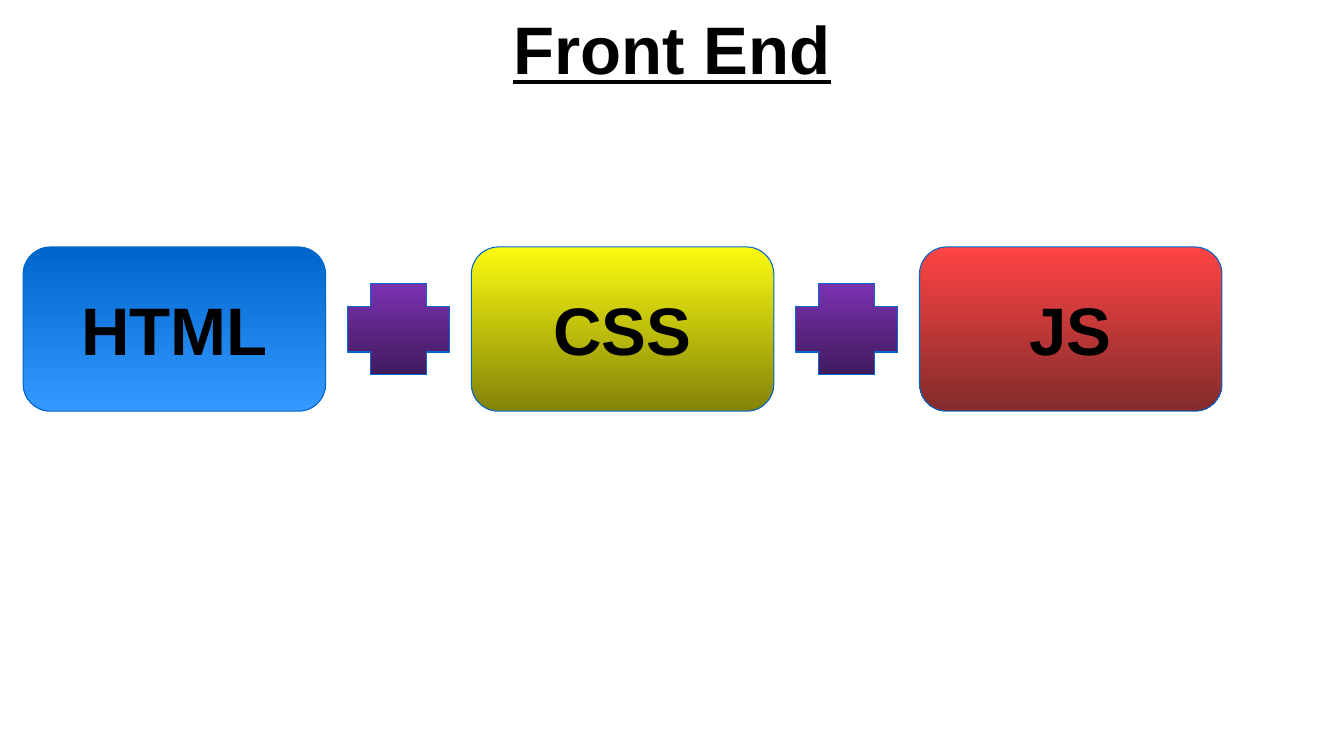
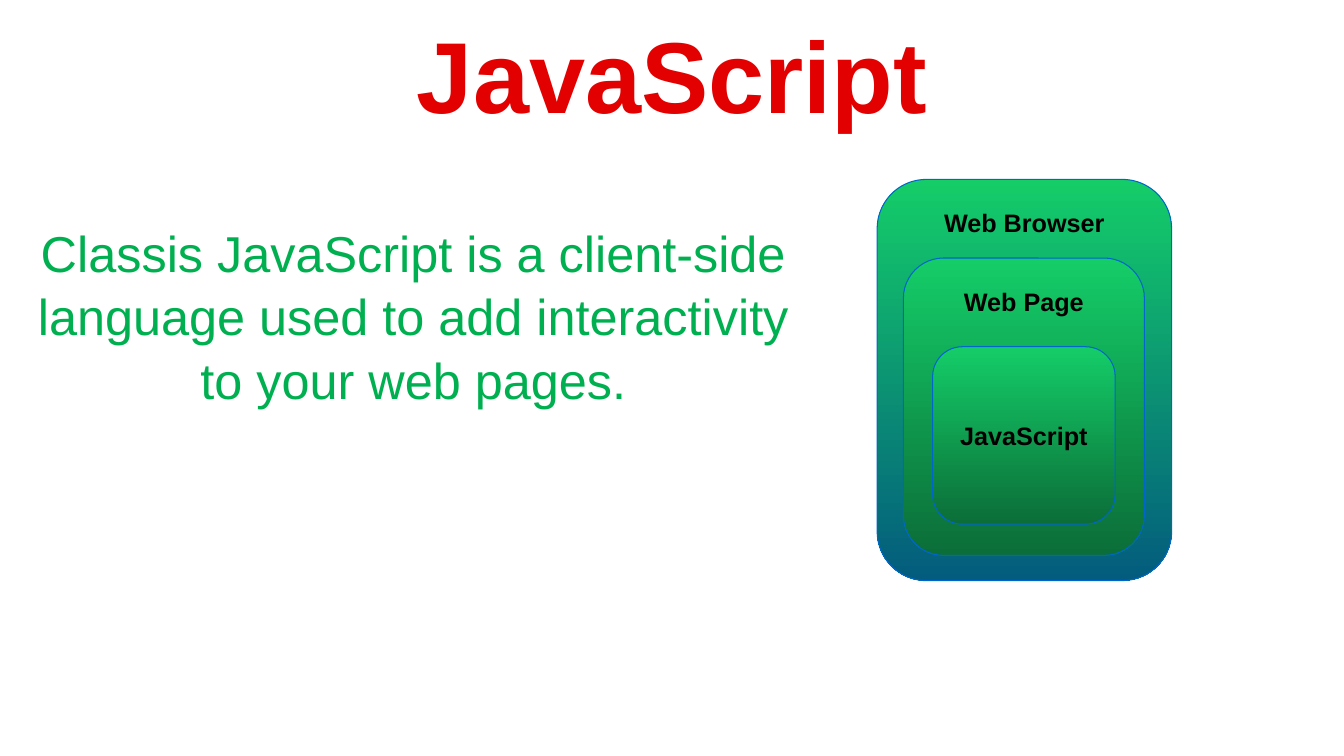
from dataclasses import dataclass

from pptx import Presentation
from pptx.dml.color import RGBColor
from pptx.enum.shapes import MSO_SHAPE
from pptx.enum.text import MSO_ANCHOR, PP_ALIGN
from pptx.util import Inches, Pt

SLIDE_WIDTH, SLIDE_HEIGHT = 13.33, 7.5
FONT = "Arial"
COLORS = {
    "text": "000000", "outline": "0066CC", "title_red": "E30000", "body_green": "00B050",
    "blue": "0066CC", "light_blue": "3399FF", "yellow": "FBFB11", "olive": "838309",
    "red": "FE4444", "maroon": "832B2B", "purple": "7B32B2", "dark_purple": "401A5D",
    "green": "14CD68", "dark_green": "0B6E38", "teal": "035C7D",
}

# Row of technologies on the first slide
CARD_LEFT, CARD_TOP, CARD_WIDTH, CARD_HEIGHT = 0.23, 2.45, 3, 1.63
CARD_PITCH = CARD_WIDTH / 3 * 4.445 / 1
PLUS_WIDTH, PLUS_HEIGHT = 1.01, 0.91


@dataclass(frozen=True)
class Box:
    left: float
    top: float
    width: float
    height: float


@dataclass(frozen=True)
class TextStyle:
    size: float
    color: str = "text"
    bold: bool = True
    underline: bool = False


@dataclass(frozen=True)
class Card:
    label: str
    top_color: str
    bottom_color: str


@dataclass(frozen=True)
class Layer:
    label: str
    box: Box
    bottom_color: str
    label_top: float | None = None  # None centres the label


CARDS = [
    Card("HTML", "blue", "light_blue"),
    Card("CSS", "yellow", "olive"),
    Card("JS", "red", "maroon"),
]
LAYERS = [
    Layer("Web Browser", Box(8.7, 1.78, 2.92, 3.98), "teal", 0.13),
    Layer("Web Page", Box(8.96, 2.56, 2.39, 2.95), "dark_green", 0.16),
    Layer("JavaScript", Box(9.25, 3.44, 1.81, 1.76), "dark_green"),
]
CARD_STYLE = TextStyle(48)
LAYER_STYLE = TextStyle(18)


def color(name: str) -> RGBColor:
    return RGBColor.from_string(COLORS[name])


def inches(box: Box) -> tuple:
    return tuple(Inches(value) for value in (box.left, box.top, box.width, box.height))


def write_text(frame, text: str, style: TextStyle, anchor=MSO_ANCHOR.MIDDLE):
    """Fill a text frame with one centred paragraph and return it."""
    frame.word_wrap = True
    frame.vertical_anchor = anchor
    paragraph = frame.paragraphs[0]
    paragraph.alignment = PP_ALIGN.CENTER
    run = paragraph.add_run()
    run.text = text
    font = run.font
    font.name, font.size = FONT, Pt(style.size)
    font.bold, font.underline = style.bold, style.underline
    font.color.rgb = color(style.color)
    return paragraph


def add_text(slide, box: Box, text: str, style: TextStyle, anchor=MSO_ANCHOR.MIDDLE):
    frame = slide.shapes.add_textbox(*inches(box)).text_frame
    return write_text(frame, text, style, anchor)


def add_gradient_shape(slide, preset, box: Box, top_color: str, bottom_color: str):
    """Add an outlined shape shaded from top to bottom."""
    shape = slide.shapes.add_shape(preset, *inches(box))
    shape.shadow.inherit = False
    shape.fill.gradient()
    shape.fill.gradient_angle = 270
    for stop, name in zip(shape.fill.gradient_stops, (top_color, bottom_color)):
        stop.color.rgb = color(name)
    shape.line.color.rgb = color("outline")
    shape.line.width = Pt(0.75)
    return shape


def add_panel(slide, box: Box, top_color: str, bottom_color: str):
    return add_gradient_shape(
        slide, MSO_SHAPE.FLOWCHART_ALTERNATE_PROCESS, box, top_color, bottom_color)


def build_front_end(slide) -> None:
    add_text(slide, Box(0, 0, SLIDE_WIDTH, 0.95), "Front End", TextStyle(48, underline=True))

    # Cards
    for column, card in enumerate(CARDS):
        box = Box(CARD_LEFT + column * CARD_PITCH, CARD_TOP, CARD_WIDTH, CARD_HEIGHT)
        panel = add_panel(slide, box, card.top_color, card.bottom_color)
        write_text(panel.text_frame, card.label, CARD_STYLE)

    # Plus signs centred in the gaps
    gap = CARD_PITCH - CARD_WIDTH
    plus_top = CARD_TOP + (CARD_HEIGHT - PLUS_HEIGHT) / 2
    for column in range(len(CARDS) - 1):
        gap_left = CARD_LEFT + column * CARD_PITCH + CARD_WIDTH
        box = Box(gap_left + (gap - PLUS_WIDTH) / 2, plus_top, PLUS_WIDTH, PLUS_HEIGHT)
        add_gradient_shape(slide, MSO_SHAPE.CROSS, box, "purple", "dark_purple")


def build_javascript(slide) -> None:
    add_text(slide, Box(0, -0.15, SLIDE_WIDTH, 1.76), "JavaScript", TextStyle(72, "title_red"))

    # Definition
    paragraph = add_text(
        slide, Box(0.1, 2.12, 8, 3.25),
        "Classis JavaScript is a client-side language used to add interactivity "
        "to your web pages.",
        TextStyle(36, "body_green", bold=False), MSO_ANCHOR.TOP)
    paragraph.line_spacing = 1.05
    paragraph.space_before = Pt(2)

    # Nested layers, outermost first
    for layer in LAYERS:
        panel = add_panel(slide, layer.box, "green", layer.bottom_color)
        frame = panel.text_frame
        if layer.label_top is None:
            write_text(frame, layer.label, LAYER_STYLE)
        else:
            frame.margin_top = Inches(layer.label_top)
            write_text(frame, layer.label, LAYER_STYLE, MSO_ANCHOR.TOP)


def main() -> None:
    presentation = Presentation()
    presentation.slide_width = Inches(SLIDE_WIDTH)
    presentation.slide_height = Inches(SLIDE_HEIGHT)
    blank_layout = presentation.slide_layouts[6]
    for build in (build_front_end, build_javascript):
        build(presentation.slides.add_slide(blank_layout))
    presentation.save("out.pptx")


if __name__ == "__main__":
    main()
